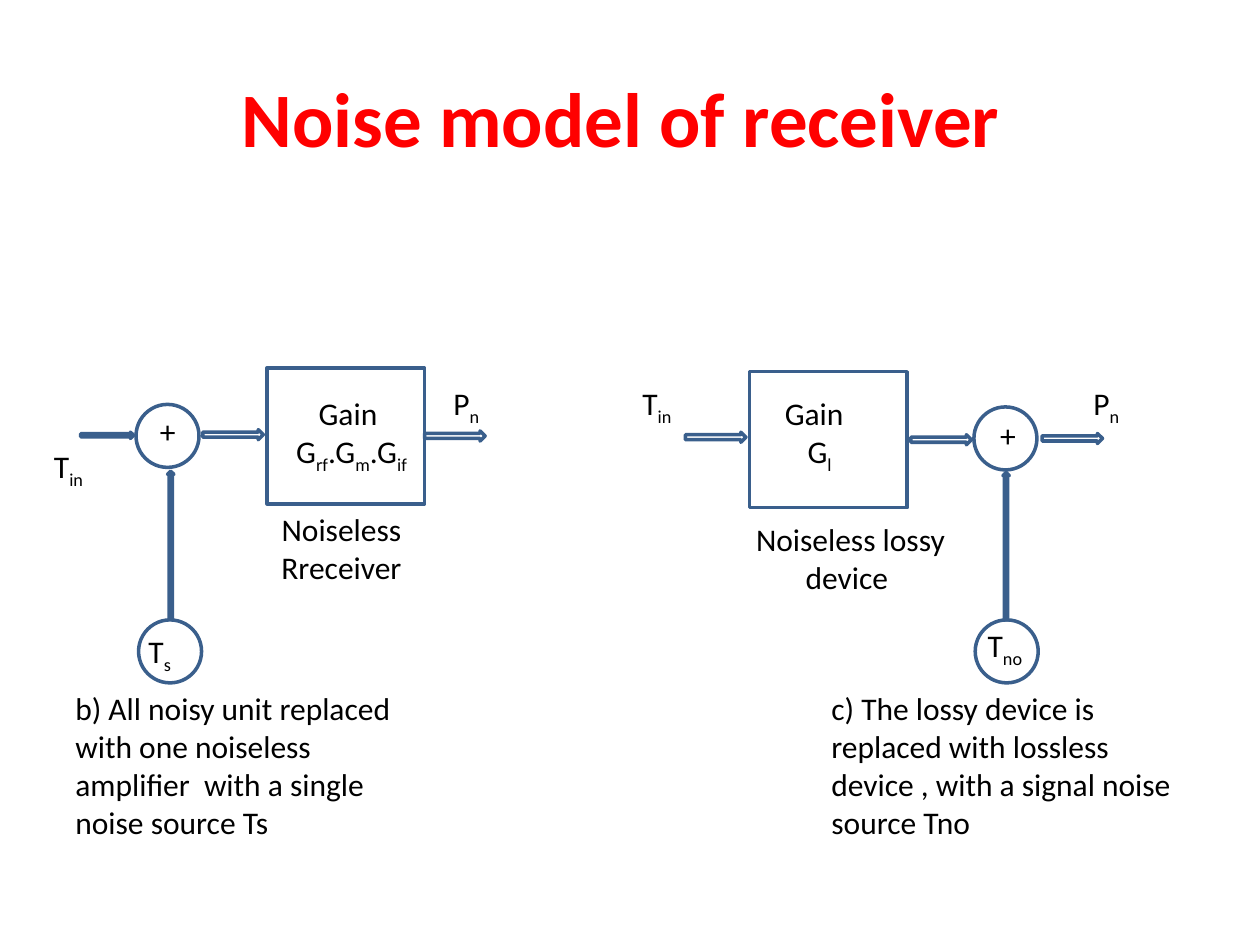
from pptx import Presentation
from pptx import util as u
from pptx.dml.color import RGBColor
from pptx.enum import shapes, text

COLOURS = {"title": "FF0000", "body": "000000", "line": "3A5F8C"}
LEFT, CENTER = text.PP_ALIGN.LEFT, text.PP_ALIGN.CENTER
SHAPE = shapes.MSO_SHAPE


def write(para, content, size=18, colour="body", bold=False, align=LEFT):
    """Fill a paragraph; text between underscores becomes a subscript."""
    para.alignment = align
    for index, part in enumerate(content.split("_")):
        if not part:
            continue
        span = para.add_run()
        span.text = part
        span.font.name = "Calibri"
        span.font.size = u.Pt(size)
        span.font.bold = bold
        span.font.color.rgb = RGBColor.from_string(COLOURS[colour])
        if index % 2:
            span._r.get_or_add_rPr().set("baseline", "-25000")


class Diagram:
    """Draws outlined blocks, arrows and labels on one slide."""

    circle_size = 0.5
    block_size = (1.25, 1.08)
    flow_size = (0.48, 0.08)
    riser_size = (0.05, 1.17)

    def __init__(self, page):
        self.page = page

    def outline(self, kind, left, top, width, height):
        shape = self.page.shapes.add_shape(
            kind, *map(u.Inches, (left, top, width, height)))
        shape.shadow.inherit = False
        shape.fill.background()
        shape.line.color.rgb = RGBColor.from_string(COLOURS["line"])
        shape.line.width = u.Pt(2)

    def block(self, left, top):
        self.outline(SHAPE.RECTANGLE, left, top, *self.block_size)

    def circle(self, left, top):
        self.outline(SHAPE.OVAL, left, top, self.circle_size, self.circle_size)

    def flow(self, left, top, size=flow_size):
        self.outline(SHAPE.RIGHT_ARROW, left, top, *size)

    def riser(self, left, top):
        self.outline(SHAPE.UP_ARROW, left, top, *self.riser_size)

    def label(self, left, top, width, height, *lines,
              anchor=text.MSO_ANCHOR.TOP, **style):
        """Each line is a string, or a (string, alignment) pair."""
        box = self.page.shapes.add_textbox(
            *map(u.Inches, (left, top, width, height)))
        frame = box.text_frame
        frame.word_wrap = True
        frame.vertical_anchor = anchor
        for index, line in enumerate(lines):
            content, align = (line, LEFT) if isinstance(line, str) else line
            para = frame.add_paragraph() if index else frame.paragraphs[0]
            write(para, content, align=align, **style)


def draw_receiver(diagram):
    diagram.block(2.12, 2.92)
    diagram.circle(1.08, 3.21)
    diagram.circle(1.1, 4.92)
    diagram.flow(0.64, 3.43, (0.42, 0.05))
    diagram.flow(1.61, 3.41)
    diagram.flow(3.37, 3.42)
    diagram.riser(1.33, 3.74)
    diagram.label(1.17, 3.22, 0.5, 0.42, "+")
    diagram.label(2, 3.08, 1.58, 0.71,
                  ("Gain ", CENTER), ("G_rf_.G_m_.G_if_", CENTER))
    diagram.label(1.08, 4.97, 0.58, 0.4, "T_s_")
    diagram.label(0.33, 3.5, 0.83, 0.4, "T_in_")
    diagram.label(3.5, 3, 0.83, 0.4, "P_n_")
    diagram.label(1.67, 4, 2.08, 0.71, ("Noiseless Rreceiver", CENTER))
    diagram.label(0.5, 5.42, 3, 1.31,
                  "b) All noisy unit replaced with one noiseless amplifier  "
                  "with a single noise source Ts")


def draw_lossy_device(diagram):
    diagram.block(5.95, 2.95)
    diagram.circle(7.73, 3.23)
    diagram.circle(7.74, 4.92)
    diagram.flow(5.44, 3.43)
    diagram.flow(7.23, 3.45)
    diagram.flow(8.27, 3.44)
    diagram.riser(7.96, 3.75)
    diagram.label(7.84, 3.25, 0.5, 0.42, "+")
    diagram.label(6.13, 3.08, 0.75, 0.71, "Gain", ("G_l_", CENTER))
    diagram.label(7.74, 4.92, 0.58, 0.4, "T_no_")
    diagram.label(5, 3, 0.83, 0.4, "T_in_")
    diagram.label(8.58, 3, 0.83, 0.4, "P_n_")
    diagram.label(5.71, 4.08, 2.08, 0.71, ("Noiseless lossy device ", CENTER))
    diagram.label(6.5, 5.42, 3, 1.31,
                  "c) The lossy device is replaced with lossless device , "
                  "with a signal noise source Tno")


def main():
    deck = Presentation()
    deck.slide_width, deck.slide_height = u.Inches(10), u.Inches(7.5)
    diagram = Diagram(deck.slides.add_slide(deck.slide_layouts[6]))
    diagram.label(0.5, 0.3, 9, 1.25, ("Noise model of receiver ", CENTER),
                  anchor=text.MSO_ANCHOR.MIDDLE,
                  size=44, colour="title", bold=True)
    draw_receiver(diagram)
    draw_lossy_device(diagram)
    deck.save("out.pptx")


if __name__ == "__main__":
    main()
